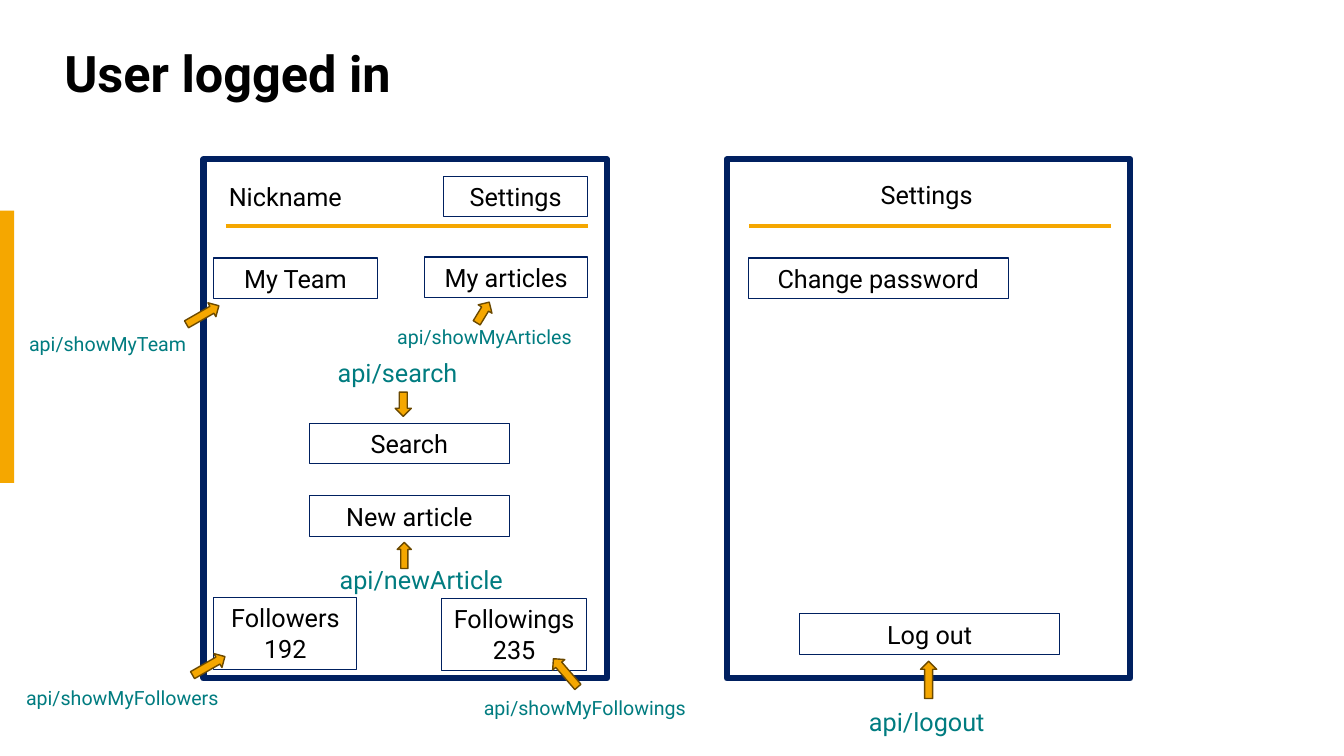
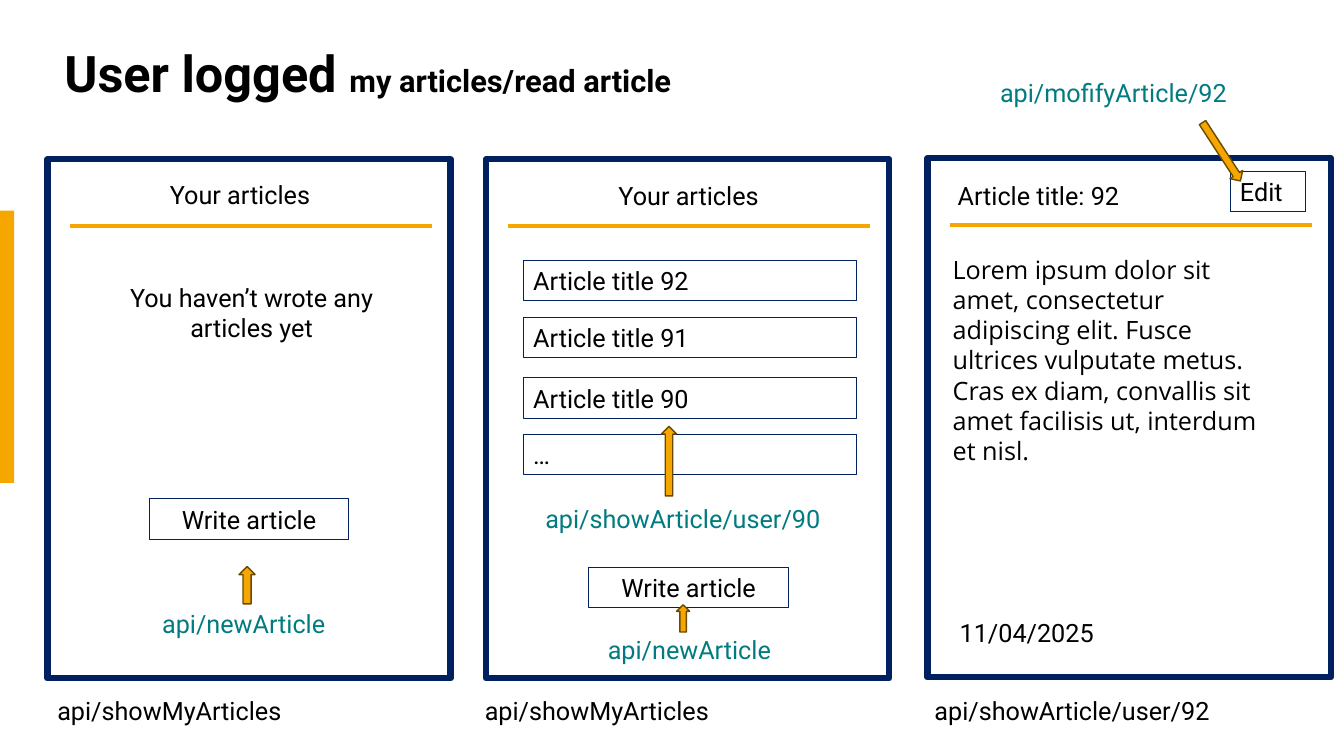
import dataclasses
import typing

import pptx
import pptx.dml.color
import pptx.enum.shapes
import pptx.enum.text
import pptx.oxml.ns
import pptx.util
from lxml import etree

PX = 9144  # EMU per px: 100 px to the inch
PAGE_WIDTH, PAGE_HEIGHT = 1333, 750
PANEL_WIDTH, PANEL_HEIGHT = 400, 515
PANEL_TOP = 158
RULE_LEFT, RULE_RIGHT, RULE_TOP = 22, 381, 66
ROW_HEIGHT = 40
FONT = "Roboto"
COLOURS = {
    "text": "000000",
    "endpoint": "007C80",
    "accent": "F5A700",
    "arrow_line": "6B4900",
    "frame": "002060",
    "paper": "FFFFFF",
}
SHAPES = pptx.enum.shapes.MSO_SHAPE
ALIGN = pptx.enum.text.PP_ALIGN


def colour(name):
    return pptx.dml.color.RGBColor.from_string(COLOURS[name])


def px(*lengths):
    return [pptx.util.Emu(length * PX) for length in lengths]


def add_block(page, kind, box, fill=None, line=None, weight=0.75):
    """Add a preset shape with an optional plain fill and outline."""
    block = page.shapes.add_shape(kind, *px(*box))
    block.shadow.inherit = False
    if fill:
        block.fill.solid()
        block.fill.fore_color.rgb = colour(fill)
    else:
        block.fill.background()
    if line:
        block.line.color.rgb = colour(line)
        block.line.width = pptx.util.Pt(weight)
    else:
        block.line.fill.background()
    return block


def write(holder, text, ink="text", size=18, font=FONT, align=ALIGN.LEFT):
    """Fill a box or shape with one paragraph of text."""
    frame = holder.text_frame
    frame.word_wrap = True
    frame.auto_size = pptx.enum.text.MSO_AUTO_SIZE.SHAPE_TO_FIT_TEXT
    frame.vertical_anchor = pptx.enum.text.MSO_ANCHOR.TOP
    para = frame.paragraphs[0]
    para.text = text
    para.alignment = align
    para.font.name = font
    para.font.size = pptx.util.Pt(size)
    para.font.color.rgb = colour(ink)


@dataclasses.dataclass
class Panel:
    """A framed app screen; its parts are placed from its top left corner."""

    page: typing.Any
    left: int
    top: int = PANEL_TOP

    def box(self, left, top, width, height):
        return self.left + left, self.top + top, width, height

    def draw_frame(self):
        add_block(self.page, SHAPES.RECTANGLE,
                  self.box(0, 0, PANEL_WIDTH, PANEL_HEIGHT), "paper", "frame", 4.5)
        rule_top = self.top + RULE_TOP
        rule = self.page.shapes.add_connector(
            pptx.enum.shapes.MSO_CONNECTOR.STRAIGHT,
            *px(self.left + RULE_LEFT, rule_top, self.left + RULE_RIGHT, rule_top))
        rule.line.color.rgb = colour("accent")
        rule.line.width = pptx.util.Pt(3)
        etree.SubElement(rule.element.spPr, pptx.oxml.ns.qn("a:effectLst"))

    def label(self, text, left, top, width, height=ROW_HEIGHT, **style):
        area = self.page.shapes.add_textbox(*px(*self.box(left, top, width, height)))
        write(area, text, **style)

    def heading(self, text, left, top, width, height=ROW_HEIGHT):
        self.label(text, left, top, width, height, align=ALIGN.CENTER)

    def endpoint(self, text, left, top, width):
        self.label(text, left, top, width, ink="endpoint")

    def small_endpoint(self, text, left, top, width):
        self.label(text, left, top, width, 34, ink="endpoint", size=14)

    def button(self, text, left, top, width, height=ROW_HEIGHT, align=ALIGN.CENTER):
        block = add_block(self.page, SHAPES.RECTANGLE,
                          self.box(left, top, width, height), line="frame")
        write(block, text, align=align)

    def arrow(self, left, top, width=16, height=37, turn=180):
        block = add_block(self.page, SHAPES.DOWN_ARROW,
                          self.box(left, top, width, height),
                          "accent", "arrow_line", 1)
        block.rotation = turn


def add_page(deck, title, title_width, subtitle=None):
    """Add a page with the side band and the bold title."""
    page = deck.slides.add_slide(deck.slide_layouts[6])
    add_block(page, SHAPES.RECTANGLE, (0, 209, 14, 270), "accent")
    area = page.shapes.add_textbox(*px(54, 40, title_width, 72))
    frame = area.text_frame
    frame.word_wrap = True
    frame.vertical_anchor = pptx.enum.text.MSO_ANCHOR.MIDDLE
    para = frame.paragraphs[0]
    para.line_spacing = 0.9
    para.font.name = FONT
    para.font.bold = True
    para.font.color.rgb = colour("text")
    for text, size in ((title, 36), (subtitle, 22)):
        if text:
            span = para.add_run()
            span.text = text
            span.font.size = pptx.util.Pt(size)
    return page


def draw_home(panel):
    panel.draw_frame()
    # Header and buttons
    panel.heading("Nickname", 0, 17, 162)
    panel.button("Settings", 238, 17, 143)
    panel.button("My Team", 10, 98, 162)
    panel.button("My articles", 219, 97, 162)
    panel.button("Search", 105, 262, 198)
    panel.button("New article", 105, 334, 198)
    panel.button("Followers 192", 10, 435, 142, 71)
    panel.button("Followings 235", 236, 436, 144, 71)
    # Endpoints inside the screen
    panel.endpoint("api/search", 123, 192, 162)
    panel.arrow(190, 231, 16, 24, turn=0)
    panel.endpoint("api/newArticle", 125, 397, 192)
    panel.arrow(192, 380, 14, 26)
    # Smaller endpoints around it
    panel.small_endpoint("api/showMyTeam", -183, 166, 187)
    panel.arrow(-9, 136, turn=240.2)
    panel.small_endpoint("api/showMyArticles", 182, 159, 199)
    panel.arrow(269, 140, 16, 24, turn=211.3)
    panel.small_endpoint("api/showMyFollowers", -186, 518, 226)
    panel.arrow(-3, 484, turn=240.2)
    panel.small_endpoint("api/showMyFollowings", 268, 528, 235)
    panel.arrow(351, 491, turn=139.1)


def draw_settings(panel):
    panel.draw_frame()
    panel.heading("Settings", 117, 15, 162)
    panel.button("Change password", 21, 98, 258)
    panel.button("Log out", 72, 451, 258)
    panel.endpoint("api/logout", 131, 538, 400)
    panel.arrow(192, 498)


def draw_empty_list(panel):
    panel.draw_frame()
    panel.heading("Your articles", 92, 15, 198)
    panel.heading("You haven’t wrote any articles yet", 37, 117, 331, 71)
    panel.button("Write article", 101, 337, 198)
    panel.endpoint("api/newArticle", 104, 441, 254)
    panel.arrow(190, 404)
    panel.label("api/showMyArticles", 0, 527, 400)


def draw_article_list(panel):
    panel.draw_frame()
    panel.heading("Your articles", 111, 16, 180)
    rows = (("Article title 92", 100), ("Article title 91", 157),
            ("Article title 90", 217), ("…", 273))
    for text, top in rows:
        panel.button(text, 37, top, 331, align=ALIGN.LEFT)
    panel.button("Write article", 102, 405, 198)
    panel.endpoint("api/newArticle", 111, 466, 204)
    panel.arrow(189, 442, 13, 27)
    panel.endpoint("api/showArticle/user/90", 49, 336, 313)
    panel.arrow(174, 265, 15, 69)
    panel.label("api/showMyArticles", -11, 527, 400)


def draw_article(panel):
    panel.draw_frame()
    panel.heading("Article title: 92", -3, 17, 226)
    panel.label("Lorem ipsum dolor sit amet, consectetur adipiscing elit. "
                "Fusce ultrices vulputate metus. Cras ex diam, convallis sit "
                "amet facilisis ut, interdum et nisl.",
                15, 90, 331, 222, font="Open Sans")
    panel.button("Edit", 300, 13, 75, align=ALIGN.LEFT)
    panel.label("11/04/2025", 22, 451, 173)
    panel.label("api/showArticle/user/92", -3, 528, 400)
    panel.endpoint("api/mofifyArticle/92", 62, -85, 313)
    panel.arrow(284, -41, 15, 69, turn=327)


def main():
    deck = pptx.Presentation()
    deck.slide_width, deck.slide_height = px(PAGE_WIDTH, PAGE_HEIGHT)

    page = add_page(deck, "User logged in", 464)
    draw_home(Panel(page, 202))
    draw_settings(Panel(page, 721))

    page = add_page(deck, "User logged ", 862, "my articles/read article")
    draw_empty_list(Panel(page, 47))
    draw_article_list(Panel(page, 482))
    draw_article(Panel(page, 920, PANEL_TOP - 1))

    deck.save("out.pptx")


if __name__ == "__main__":
    main()
